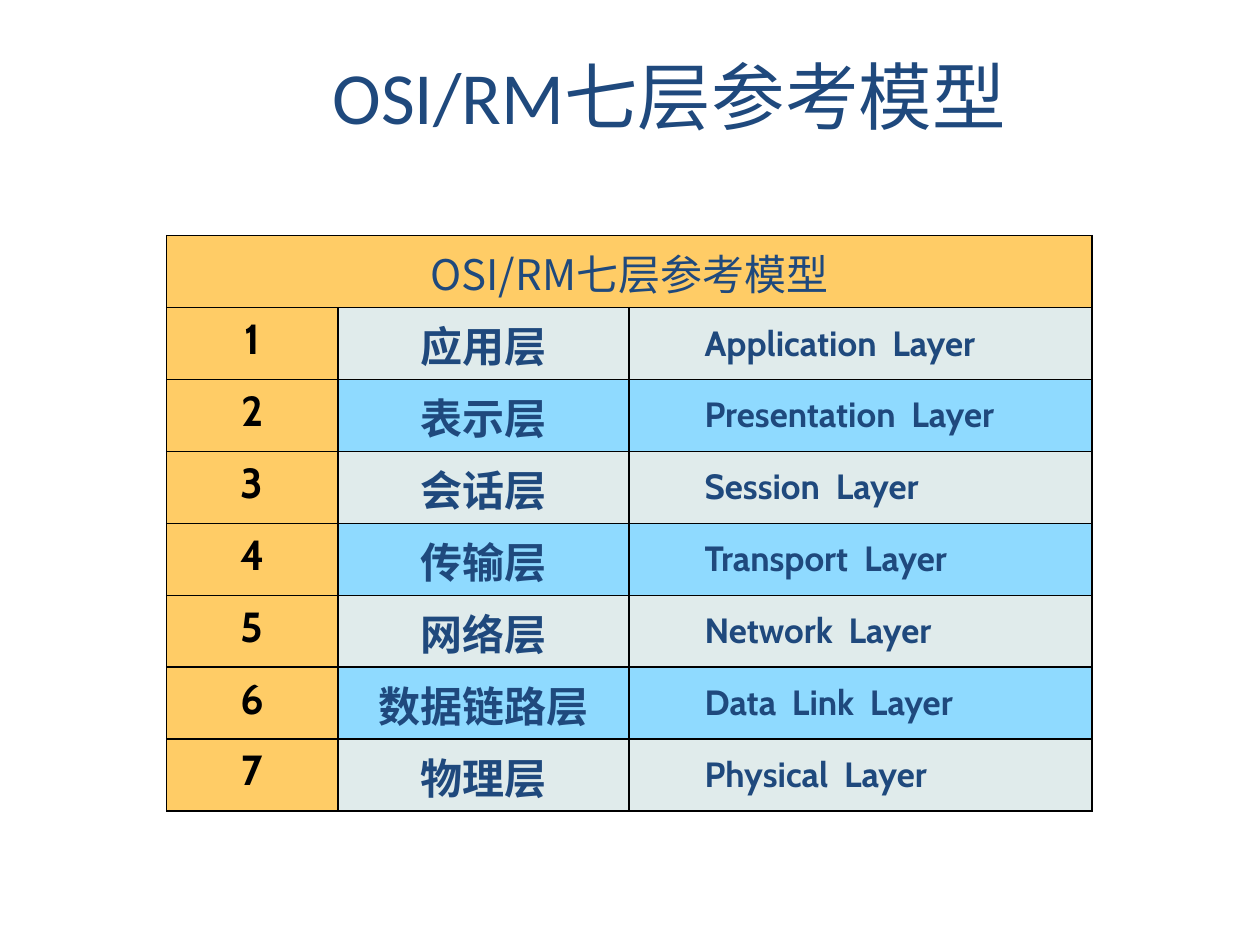
"""Build a slide with a table of the seven OSI layers."""
from lxml.etree import SubElement
from pptx import Presentation
from pptx.dml.color import RGBColor
from pptx.enum.text import MSO_ANCHOR, PP_ALIGN
from pptx.oxml.ns import qn
from pptx.util import Cm, Pt

NAVY = RGBColor(0x1F, 0x49, 0x7D)
BLACK = RGBColor(0, 0, 0)
GOLD = RGBColor(0xFF, 0xCC, 0x66)
MIST = RGBColor(0xE0, 0xEB, 0xEB)
SKY = RGBColor(0x8F, 0xDA, 0xFF)

HEADING = "OSI/RM七层参考模型"
LAYERS = [
    ("应用层", "Application  Layer"),
    ("表示层", "Presentation  Layer"),
    ("会话层", "Session  Layer"),
    ("传输层", "Transport  Layer"),
    ("网络层", "Network  Layer"),
    ("数据链路层", "Data  Link  Layer"),
    ("物理层", "Physical  Layer"),
]


class Deck:
    title_font = "Calibri"
    cjk_font = "Noto Sans CJK SC"
    latin_font = "Cabin"

    def __init__(self, s):
        self.s = s

    def set_text(self, tf, text, font, size, color=NAVY, bold=False, align=PP_ALIGN.CENTER):
        tf.text = text
        p = tf.paragraphs[0]
        p.alignment = align
        r = p.runs[0]
        r.font.size, r.font.bold, r.font.name = Pt(size), bold, font
        r.font.color.rgb = color
        SubElement(r._r.get_or_add_rPr(), qn("a:ea"), typeface=self.cjk_font)
        return p

    def title(self, text, left, top, width, height):
        tf = self.s.shapes.add_textbox(left, top, width, height).text_frame
        tf.word_wrap = True
        tf.vertical_anchor = MSO_ANCHOR.MIDDLE
        self.set_text(tf, text, self.title_font, 42)

    def table(self, left, top, widths, row_height, row_count):
        shape = self.s.shapes.add_table(
            row_count, len(widths), left, top, sum(widths), row_height * row_count)
        table = shape.table
        table.first_row = table.horz_banding = False
        for column, width in zip(table.columns, widths):
            column.width = width
        for cell in table.iter_cells():
            self.border(cell)
        return table

    def border(self, cell):
        tc_pr = cell._tc.get_or_add_tcPr()
        for side in ("lnL", "lnR", "lnT", "lnB"):
            line = SubElement(tc_pr, qn(f"a:{side}"), w=str(Pt(1)))
            fill = SubElement(line, qn("a:solidFill"))
            SubElement(fill, qn("a:srgbClr"), val=str(BLACK))

    def cell(self, cell, text, fill, font, size=24, **style):
        cell.fill.solid()
        cell.fill.fore_color.rgb = fill
        return self.set_text(cell.text_frame, text, font, size, **style)

    def indented_cell(self, cell, text, fill):
        cell.vertical_anchor = MSO_ANCHOR.MIDDLE
        p = self.cell(cell, text, fill, self.latin_font, 20, bold=True, align=PP_ALIGN.LEFT)
        p.level = 1
        p_pr = p._p.get_or_add_pPr()
        p_pr.set("marL", str(Cm(1.27)))
        p_pr.set("indent", "0")


def main():
    prs = Presentation()
    prs.slide_width, prs.slide_height = Cm(25.4), Cm(19.05)
    deck = Deck(prs.slides.add_slide(prs.slide_layouts[6]))
    deck.title(HEADING, Cm(2.36), Cm(0.64), Cm(22.25), Cm(2.54))

    widths = [Cm(3.45), Cm(5.87), Cm(9.33)]
    table = deck.table(Cm(3.36), Cm(4.75), widths, Cm(1.45), len(LAYERS) + 1)
    table.cell(0, 0).merge(table.cell(0, 2))
    deck.cell(table.cell(0, 0), HEADING, GOLD, deck.cjk_font)
    for row, (chinese, english) in enumerate(LAYERS, 1):
        fill = MIST if row % 2 else SKY
        deck.cell(table.cell(row, 0), str(row), GOLD, deck.latin_font, color=BLACK, bold=True)
        deck.cell(table.cell(row, 1), chinese, fill, deck.cjk_font, bold=True)
        deck.indented_cell(table.cell(row, 2), english, fill)
    prs.save("out.pptx")


if __name__ == "__main__":
    main()
